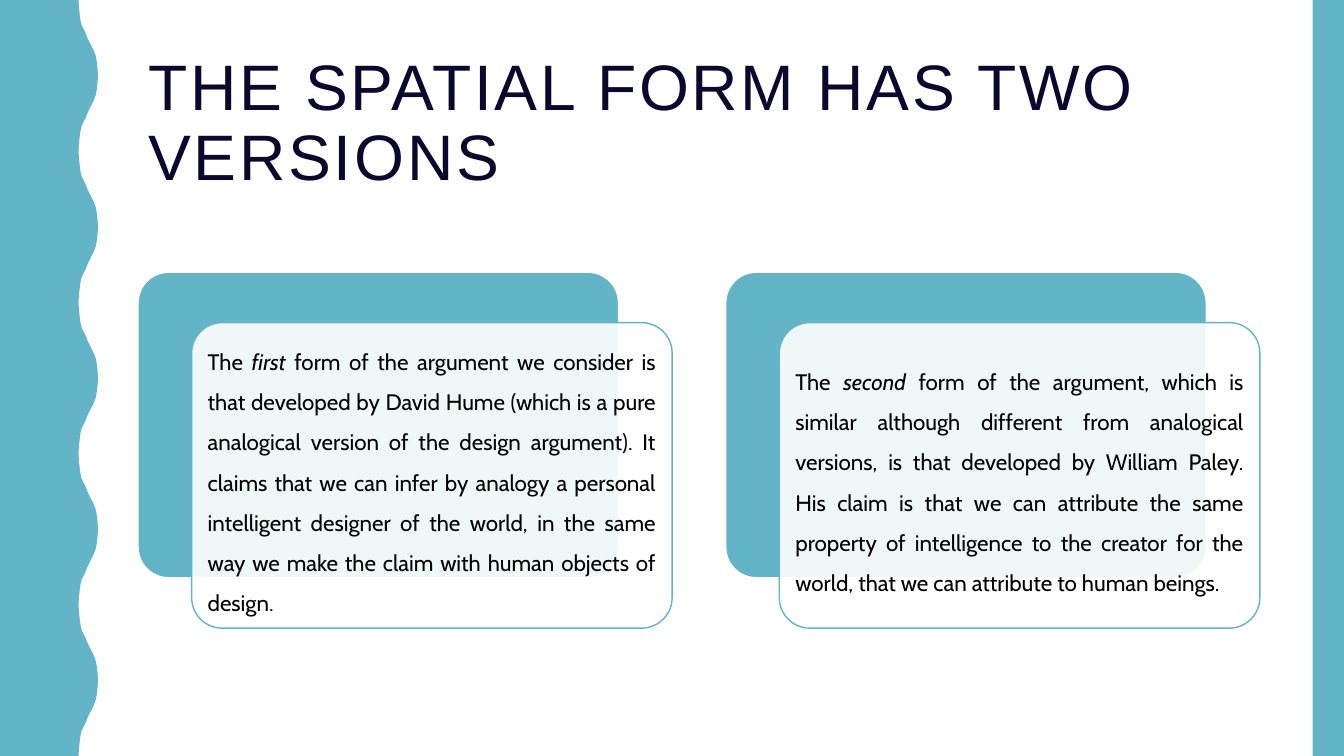
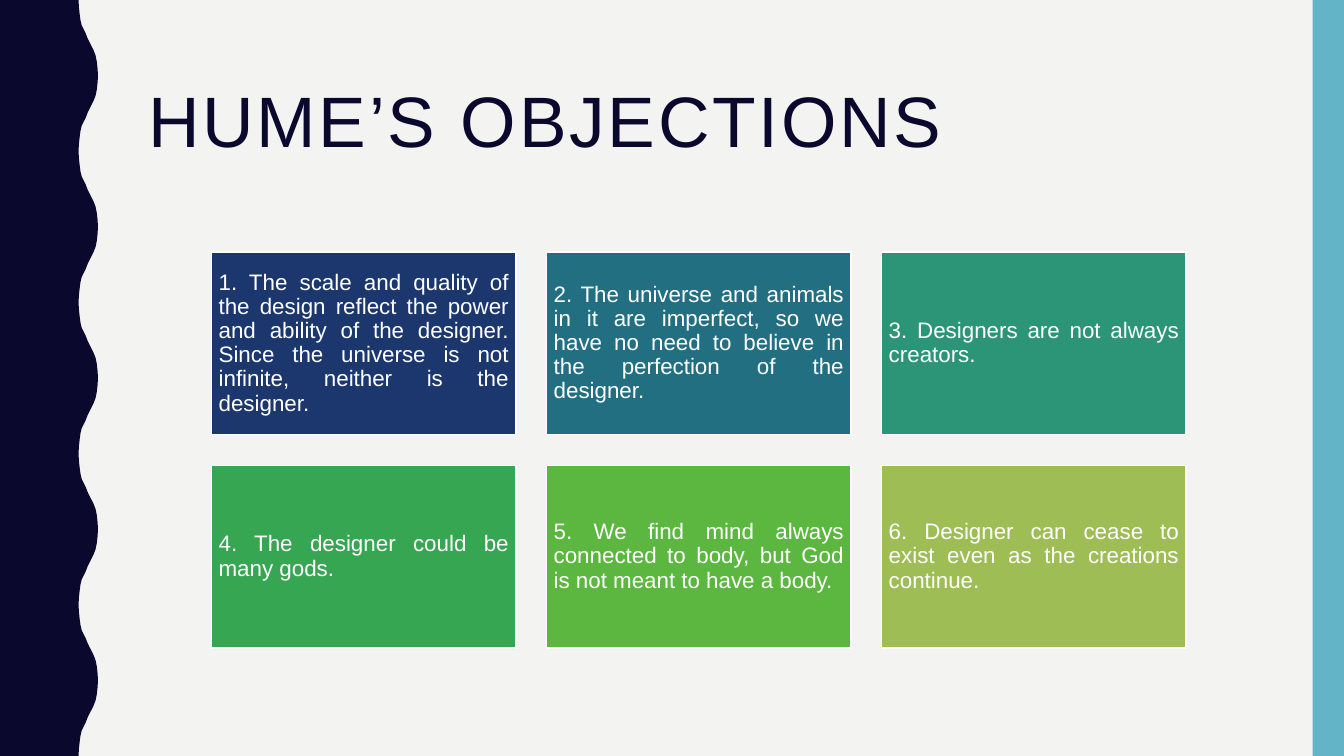
from lxml import etree
from pptx import Presentation
from pptx import util as u
from pptx.dml.color import RGBColor
from pptx.enum import shapes, text
from pptx.oxml import ns

COLORS = {
    "navy": "0B082E", "teal": "62B4C6", "white": "FFFFFF", "paper": "F3F3F2",
    "black": "000000", "tile1": "1B376E", "tile2": "236F82", "tile3": "2C9477",
    "tile4": "36A652", "tile5": "5BB740", "tile6": "9EBE55",
}
WIDTH, HEIGHT = 33.87, 19.05
BAND_WIDTH = 0.79
TITLE_BOX = (3.48, 1.07, 28.27, 4.14)
INSET = 0.18

# Half a wave as (x, y) in cm, from trough to crest; the rest is mirrored
WAVE_COUNT = 5
WAVE_PERIOD = HEIGHT / WAVE_COUNT
HALF_WAVE = [
    (1.98, 0), (1.99, 0.18), (2.01, 0.36), (2.03, 0.51), (2.06, 0.64),
    (2.11, 0.74), (2.16, 0.84), (2.21, 0.97), (2.26, 1.07), (2.31, 1.17),
    (2.36, 1.27), (2.41, 1.4), (2.44, 1.55), (2.46, 1.73), (2.47, 1.9),
]

VERSIONS = [
    ("The ", "first", " form of the argument we consider is that developed by David Hume "
     "(which is a pure analogical version of the design argument). It claims that we can "
     "infer by analogy a personal intelligent designer of the world, in the same way we "
     "make the claim with human objects of design."),
    ("The ", "second", " form of the argument, which is similar although different from "
     "analogical versions, is that developed by William Paley. His claim is that we can "
     "attribute the same property of intelligence to the creator for the world, that we "
     "can attribute to human beings."),
]
OBJECTIONS = [
    "1. The scale and quality of the design reflect the power and ability of the designer. "
    "Since the universe is not infinite, neither is the designer.",
    "2. The universe and animals in it are imperfect, so we have no need to believe in the "
    "perfection of the designer.",
    "3. Designers are not always creators.",
    "4. The designer could be many gods.",
    "5. We find mind always connected to body, but God is not meant to have a body.",
    "6. Designer can cease to exist even as the creations continue.",
]


def rgb(name):
    return RGBColor.from_string(COLORS[name])


def paint(shape, fill, line=None):
    shape.shadow.inherit = False
    shape.fill.solid()
    shape.fill.fore_color.rgb = rgb(fill)
    if line:
        shape.line.color.rgb = rgb(line)
        shape.line.width = u.Pt(1)
    else:
        shape.line.fill.background()


def add_box(slide, kind, box, fill, line=None):
    shape = slide.shapes.add_shape(kind, *(u.Cm(length) for length in box))
    paint(shape, fill, line)
    return shape


def style_paragraph(paragraph, font_name, size, color, spacing, alignment):
    paragraph.alignment = alignment
    paragraph.line_spacing = spacing
    paragraph.font.name = font_name
    paragraph.font.size = u.Pt(size)
    paragraph.font.color.rgb = rgb(color)


def write_justified(shape, parts, font_name, color, spacing):
    """Fill a shape with 16 pt text; the second of the parts is italic."""
    frame = shape.text_frame
    frame.word_wrap = True
    frame.vertical_anchor = text.MSO_ANCHOR.MIDDLE
    frame.margin_left = frame.margin_right = u.Cm(INSET)
    frame.margin_top = frame.margin_bottom = u.Cm(INSET)
    paragraph = frame.paragraphs[0]
    style_paragraph(paragraph, font_name, 16, color, spacing, text.PP_ALIGN.JUSTIFY)
    for index, part in enumerate(parts):
        run = paragraph.add_run()
        run.text = part
        if index == 1:
            run.font.italic = True


def add_wave(slide, color):
    crest_to_trough = [(x, WAVE_PERIOD - y) for x, y in reversed(HALF_WAVE)]
    edge = [(x, y + WAVE_PERIOD * wave)
            for wave in range(WAVE_COUNT) for x, y in HALF_WAVE + crest_to_trough]
    builder = slide.shapes.build_freeform(0, 0, scale=1.0)
    builder.add_line_segments([(u.Cm(x), u.Cm(y)) for x, y in edge + [(0, HEIGHT)]])
    paint(builder.convert_to_shape(), color)


def add_base_slide(presentation, title, title_size, background, wave_color):
    """Title, wavy left edge and right band, shared by every slide."""
    slide = presentation.slides.add_slide(presentation.slide_layouts[5])
    slide.background.fill.solid()
    slide.background.fill.fore_color.rgb = rgb(background)
    add_wave(slide, wave_color)
    add_box(slide, shapes.MSO_SHAPE.RECTANGLE,
            (WIDTH - BAND_WIDTH, 0, BAND_WIDTH, HEIGHT), "teal")

    heading = slide.shapes.title
    heading.left, heading.top, heading.width, heading.height = map(u.Cm, TITLE_BOX)
    frame = heading.text_frame
    frame.word_wrap = True
    frame.auto_size = text.MSO_AUTO_SIZE.NONE
    frame.vertical_anchor = text.MSO_ANCHOR.MIDDLE
    paragraph = frame.paragraphs[0]
    style_paragraph(paragraph, "Arial", title_size, "navy", 0.9, text.PP_ALIGN.LEFT)
    run = paragraph.add_run()
    run.text = title
    run.font._element.set("spc", "200")  # letter spacing, 2 pt
    return slide


def add_version_card(slide, box, parts):
    """A teal card with a translucent text card shifted over it."""
    left, top, width, height = box
    shift_x, shift_y = 1.35, 1.27
    size = (width - shift_x, height - shift_y)
    rounded = shapes.MSO_SHAPE.ROUNDED_RECTANGLE
    back = add_box(slide, rounded, (left, top, *size), "teal", "white")
    front = add_box(slide, rounded, (left + shift_x, top + shift_y, *size), "white", "teal")
    back.adjustments[0] = front.adjustments[0] = 0.1
    fill_color = front._element.spPr.find(ns.qn("a:solidFill"))[0]
    etree.SubElement(fill_color, ns.qn("a:alpha"), val="90000")
    write_justified(front, parts, "Cabin", "black", 1.5)


def add_versions(slide, box):
    left, top, width, height = box
    gap = 1.35
    card_width = (width - gap) / 2
    for index, parts in enumerate(VERSIONS):
        add_version_card(slide, (left + index * (card_width + gap), top, card_width, height),
                         parts)


def add_objections(slide, box):
    """A grid of three columns and two rows."""
    left, top, width, height = box
    columns, rows, gap = 3, 2, 0.77
    tile_width = (width - gap * (columns - 1)) / columns
    tile_height = (height - gap * (rows - 1)) / rows
    for index, objection in enumerate(OBJECTIONS):
        row, column = divmod(index, columns)
        tile = add_box(slide, shapes.MSO_SHAPE.RECTANGLE,
                       (left + column * (tile_width + gap), top + row * (tile_height + gap),
                        tile_width, tile_height), f"tile{index + 1}", "white")
        write_justified(tile, [objection], "Arial", "white", 0.9)


def main():
    presentation = Presentation()
    presentation.slide_width, presentation.slide_height = u.Cm(WIDTH), u.Cm(HEIGHT)

    # The two versions
    slide = add_base_slide(presentation, "THE SPATIAL FORM HAS TWO VERSIONS", 45.9,
                           "white", "teal")
    add_versions(slide, (3.48, 6.86, 28.27, 8.97))

    # The objections
    slide = add_base_slide(presentation, "HUME’S OBJECTIONS", 51, "paper", "navy")
    add_objections(slide, (5.33, 6.35, 24.56, 9.98))

    presentation.save("out.pptx")


if __name__ == "__main__":
    main()
